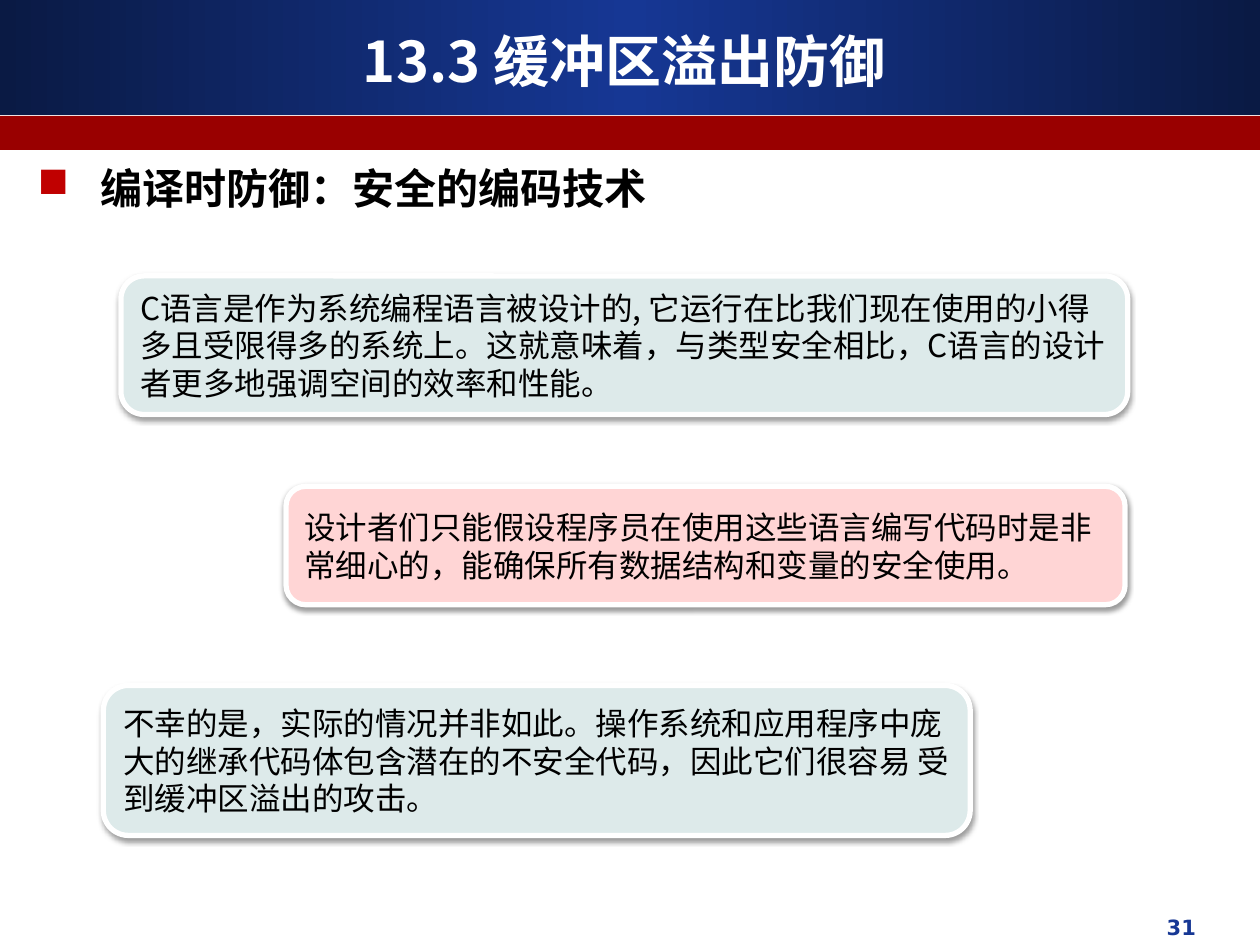
from lxml import etree
from pptx import Presentation
from pptx.dml.color import RGBColor
from pptx.enum.shapes import MSO_SHAPE as Shape
from pptx.enum.text import MSO_ANCHOR as Anchor, PP_ALIGN as Align
from pptx.oxml.ns import qn
from pptx.util import Inches, Pt

NAVY = RGBColor(0x0A, 0x1A, 0x44)
BLUE = RGBColor(0x16, 0x37, 0x94)
DARK_RED = RGBColor(0x99, 0x00, 0x00)
BULLET_RED = RGBColor(0xC0, 0x00, 0x00)
MINT = RGBColor(0xDD, 0xEA, 0xEA)
PINK = RGBColor(0xFF, 0xD5, 0xD5)
WHITE = RGBColor(0xFF, 0xFF, 0xFF)
BLACK = RGBColor(0x00, 0x00, 0x00)


def add_element(parent, tag, **attributes):
    return etree.SubElement(parent, qn(tag), attributes)


class SlideBuilder:
    cjk_font = "Noto Sans CJK SC"
    number_font = "DejaVu Sans"

    def __init__(self, page):
        self.page = page

    def shape(self, kind, bounds, fill=None):
        shape = self.page.shapes.add_shape(kind, *map(Inches, bounds))
        shape.shadow.inherit = False
        shape.line.fill.background()
        if fill is not None:
            shape.fill.solid()
            shape.fill.fore_color.rgb = fill
        return shape

    def gradient_band(self, bounds, edge, middle):
        band = self.shape(Shape.RECTANGLE, bounds)
        band.fill.gradient()
        band.fill.gradient_angle = 0
        stops = band._element.spPr.find(qn("a:gradFill")).find(qn("a:gsLst"))
        for stop in list(stops):
            stops.remove(stop)
        for position, color in ((0, edge), (50000, middle), (100000, edge)):
            stop = add_element(stops, "a:gs", pos=str(position))
            add_element(stop, "a:srgbClr", val=str(color))

    def set_text(self, frame, text, size, color, bold=False, align=Align.LEFT,
                 anchor=Anchor.TOP, font=None, bullet=None):
        frame.word_wrap = True
        frame.vertical_anchor = anchor
        para = frame.paragraphs[0]
        span = para.add_run()
        span.text = text
        para.alignment = align
        if bullet:
            properties = para._p.get_or_add_pPr()
            properties.set("marL", str(Inches(0.5)))
            properties.set("indent", str(Inches(-0.5)))
            bullet_color = add_element(properties, "a:buClr")
            add_element(bullet_color, "a:srgbClr", val=str(BULLET_RED))
            add_element(properties, "a:buChar", char=bullet)
        for style in (para.font, span.font):
            style.name = font or self.cjk_font
            style.size, style.bold = Pt(size), bold
            style.color.rgb = color
            # Chinese characters use the East Asian typeface
            add_element(style._element, "a:ea", typeface=self.cjk_font)

    def text(self, bounds, text, size, color, **style):
        box = self.page.shapes.add_textbox(*map(Inches, bounds))
        self.set_text(box.text_frame, text, size, color, **style)

    def card(self, bounds, fill, text):
        card = self.shape(Shape.ROUNDED_RECTANGLE, bounds, fill)
        card.line.color.rgb = WHITE
        card.line.width = Pt(3)
        effects = card._element.spPr.find(qn("a:effectLst"))
        shadow = add_element(effects, "a:outerShdw", blurRad=str(Pt(3.1)),
                             dist=str(Pt(1.6)), dir="5400000", rotWithShape="0")
        shade = add_element(shadow, "a:srgbClr", val=str(BLACK))
        add_element(shade, "a:alpha", val="38000")
        self.set_text(card.text_frame, text, 18, BLACK, anchor=Anchor.MIDDLE)


def main():
    deck = Presentation()
    deck.slide_width, deck.slide_height = Inches(10), Inches(7.5)
    builder = SlideBuilder(deck.slides.add_slide(deck.slide_layouts[6]))

    # Header
    builder.gradient_band((0, 0, 10, 0.91), NAVY, BLUE)
    builder.shape(Shape.RECTANGLE, (0, 0.92, 10, 0.27), DARK_RED)
    builder.text((0.33, 0.17, 9.25, 0.62), "13.3 缓冲区溢出防御", 32, WHITE,
                 bold=True, align=Align.CENTER, anchor=Anchor.MIDDLE)

    # Topic
    builder.text((0.2, 1.24, 7.01, 0.5), "编译时防御：安全的编码技术", 24, BLACK,
                 bold=True, bullet="■")

    # Statements
    cards = (
        ((0.96, 2.19, 7.99, 1.1), MINT,
         "C语言是作为系统编程语言被设计的, 它运行在比我们现在使用的小得多且受限得多的系统上。"
         "这就意味着，与类型安全相比，C语言的设计者更多地强调空间的效率和性能。"),
        ((2.27, 3.86, 6.66, 0.94), PINK,
         "设计者们只能假设程序员在使用这些语言编写代码时是非常细心的，"
         "能确保所有数据结构和变量的安全使用。"),
        ((0.82, 5.44, 6.88, 1.19), MINT,
         "不幸的是，实际的情况并非如此。操作系统和应用程序中庞大的继承代码体包含潜在的不安全代码，"
         "因此它们很容易 受到缓冲区溢出的攻击。"),
    )
    for bounds, fill, text in cards:
        builder.card(bounds, fill, text)

    # Page number
    builder.text((6.42, 7.21, 3.17, 0.35), "31", 12, BLUE, bold=True,
                 align=Align.RIGHT, font=builder.number_font)

    deck.save("out.pptx")


if __name__ == "__main__":
    main()
